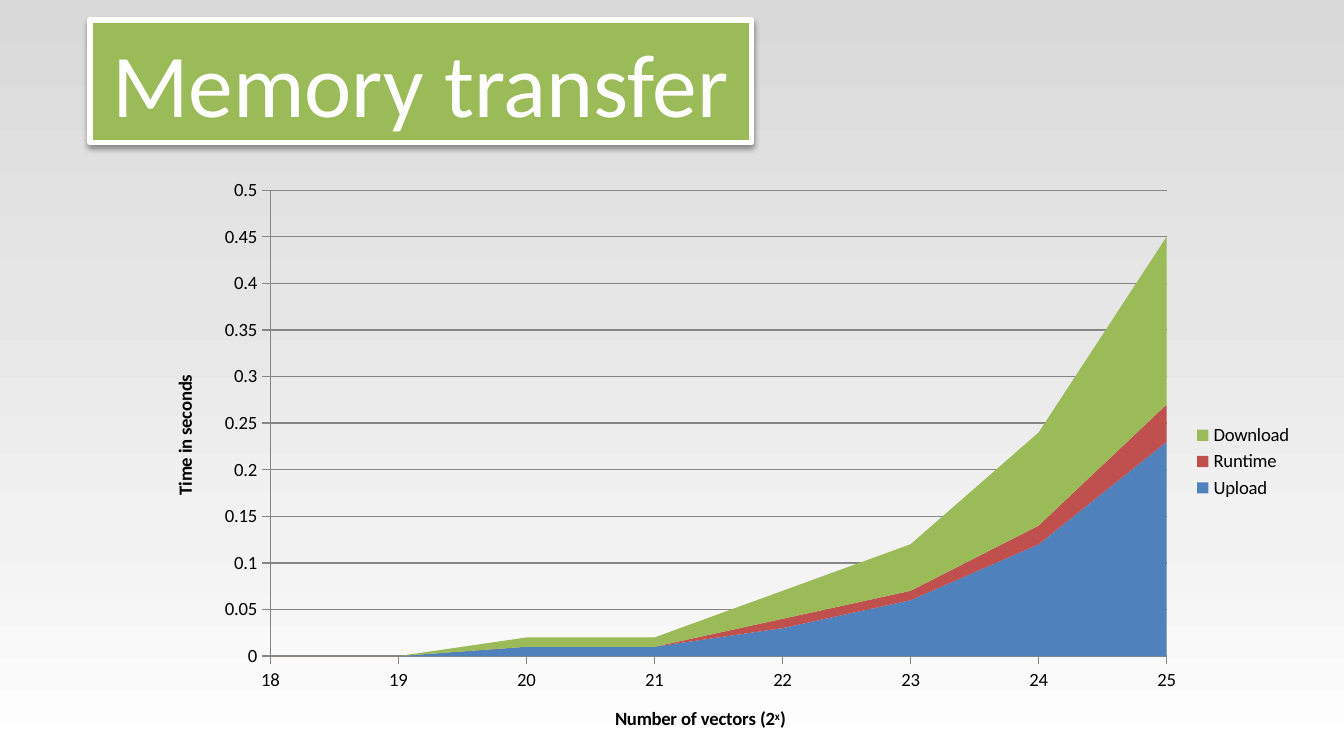
import pptx
import pptx.chart.data
import pptx.dml.color
import pptx.enum.chart
import pptx.enum.text
import pptx.oxml
import pptx.oxml.ns
import pptx.util
from pptx.util import Cm

A = pptx.oxml.ns.nsdecls("a")
C = pptx.oxml.ns.nsdecls("c")
qn = pptx.oxml.ns.qn


def rgb(value):
    return pptx.dml.color.RGBColor.from_string(value)


def set_axis_title(axis, text, superscript=""):
    """Write a bold axis title, with an optional raised part before its closing bracket."""
    p = axis.axis_title.text_frame.paragraphs[0]
    parts = [text, superscript, ")"] if superscript else [text]
    for part in parts:
        r = p.add_run()
        r.text = part
        r.font.size = pptx.util.Pt(10)
        r.font.bold = True
        r.font.name = "Calibri"
        r.font.color.rgb = rgb("000000")
        if part == superscript:
            r.font._element.set("baseline", "30000")


prs = pptx.Presentation()
prs.slide_width, prs.slide_height = Cm(25.4), Cm(14.29)
s = prs.slides.add_slide(prs.slide_layouts[5])

# Background: grey fading to white, top to bottom
fill = s.background.fill
fill.gradient()
fill.gradient_angle = 270
stops = s.element.find(".//" + qn("a:gsLst"))
for stop in list(stops):
    stops.remove(stop)
for percent, color in [(0, "D9D9D9"), (40, "E6E6E6"), (70, "F2F2F2"), (100, "FFFFFF")]:
    stops.append(pptx.oxml.parse_xml(
        f'<a:gs {A} pos="{percent * 1000}"><a:srgbClr val="{color}"/></a:gs>'))

# Title
sp = s.shapes.title
sp.left, sp.top, sp.width, sp.height = Cm(1.7), Cm(0.38), Cm(12.5), Cm(2.31)
sp.fill.solid()
sp.fill.fore_color.rgb = rgb("9BBB59")
sp.line.color.rgb = rgb("FFFFFF")
sp.line.width = pptx.util.Pt(3)
sp.element.spPr.append(pptx.oxml.parse_xml(
    f'<a:effectLst {A}><a:outerShdw blurRad="40000" dist="20000" dir="5400000" rotWithShape="0">'
    '<a:srgbClr val="000000"><a:alpha val="38000"/></a:srgbClr></a:outerShdw></a:effectLst>'))
tf = sp.text_frame
tf.text = "Memory transfer"
tf.word_wrap = False
tf.auto_size = pptx.enum.text.MSO_AUTO_SIZE.SHAPE_TO_FIT_TEXT
p = tf.paragraphs[0]
p.alignment = pptx.enum.text.PP_ALIGN.CENTER
font = p.runs[0].font
font.name = "Calibri"
font.size = pptx.util.Pt(48)
font.color.rgb = rgb("FFFFFF")

# Stacked area chart
series = [
    ("Upload", "4F81BD", [0, 0, 0.01, 0.01, 0.03, 0.06, 0.12, 0.23]),
    ("Runtime", "C0504D", [0, 0, 0, 0, 0.01, 0.01, 0.02, 0.04]),
    ("Download", "9BBB59", [0, 0, 0.01, 0.01, 0.03, 0.05, 0.1, 0.18]),
]
data = pptx.chart.data.CategoryChartData()
data.categories = [str(n) for n in range(18, 26)]
for name, color, values in series:
    data.add_series(name, values)
chart = s.shapes.add_chart(pptx.enum.chart.XL_CHART_TYPE.AREA_STACKED,
                           Cm(2.69), Cm(3.15), Cm(22), Cm(11.15), data).chart
chart.has_title = False
chart.font.name = "Calibri"
chart.font.size = pptx.util.Pt(10)
chart.font.color.rgb = rgb("000000")
for area, (name, color, values) in zip(chart.plots[0].series, series):
    area.format.fill.solid()
    area.format.fill.fore_color.rgb = rgb(color)

chart.has_legend = True
chart.legend.position = pptx.enum.chart.XL_LEGEND_POSITION.RIGHT
chart.legend.include_in_layout = False

cat_axis, val_axis = chart.category_axis, chart.value_axis
set_axis_title(cat_axis, "Number of vectors (2", "x")
set_axis_title(val_axis, "Time in seconds")
val_axis.minimum_scale, val_axis.maximum_scale, val_axis.major_unit = 0, 0.5, 0.05
val_axis.has_major_gridlines = True
cat_axis.has_major_gridlines = False
for axis in (cat_axis, val_axis):
    axis.major_tick_mark = pptx.enum.chart.XL_TICK_MARK.OUTSIDE
    axis.minor_tick_mark = pptx.enum.chart.XL_TICK_MARK.NONE
    axis.tick_labels.number_format = "General"
    axis.tick_labels.number_format_is_linked = False
for part in (cat_axis, val_axis, val_axis.major_gridlines):
    part.format.line.color.rgb = rgb("868686")
    part.format.line.width = pptx.util.Pt(0.75)

# Areas start on the value axis, inside a fixed plot frame
plot_area = chart.element.find(".//" + qn("c:plotArea"))
plot_area.find(".//" + qn("c:crossBetween")).set("val", "midCat")
for layout in plot_area.findall(qn("c:layout")):
    plot_area.remove(layout)
frame = "".join(f'<c:{key} val="{value}"/>' for key, value in [
    ("layoutTarget", "inner"), ("xMode", "edge"), ("yMode", "edge"),
    ("x", 0.11), ("y", 0.04), ("w", 0.77), ("h", 0.79)])
plot_area.insert(0, pptx.oxml.parse_xml(
    f"<c:layout {C}><c:manualLayout>{frame}</c:manualLayout></c:layout>"))

prs.save("out.pptx")
